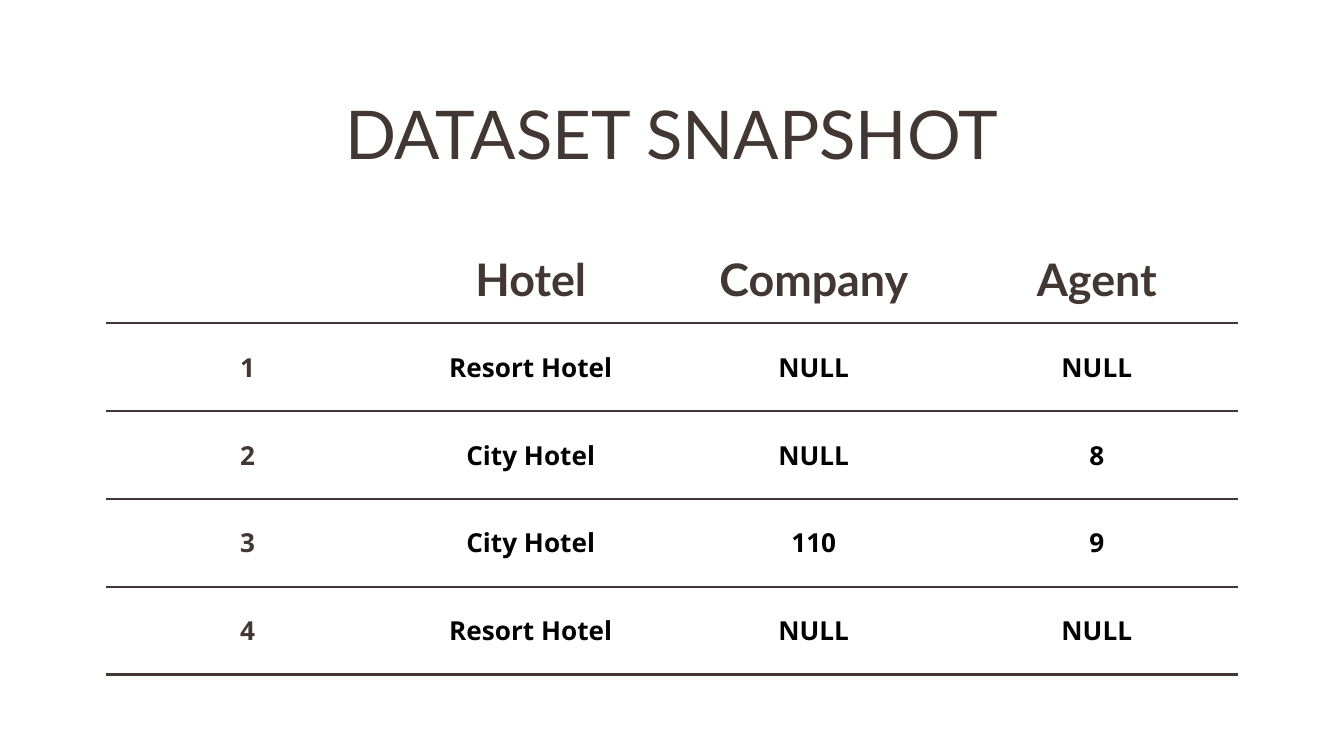
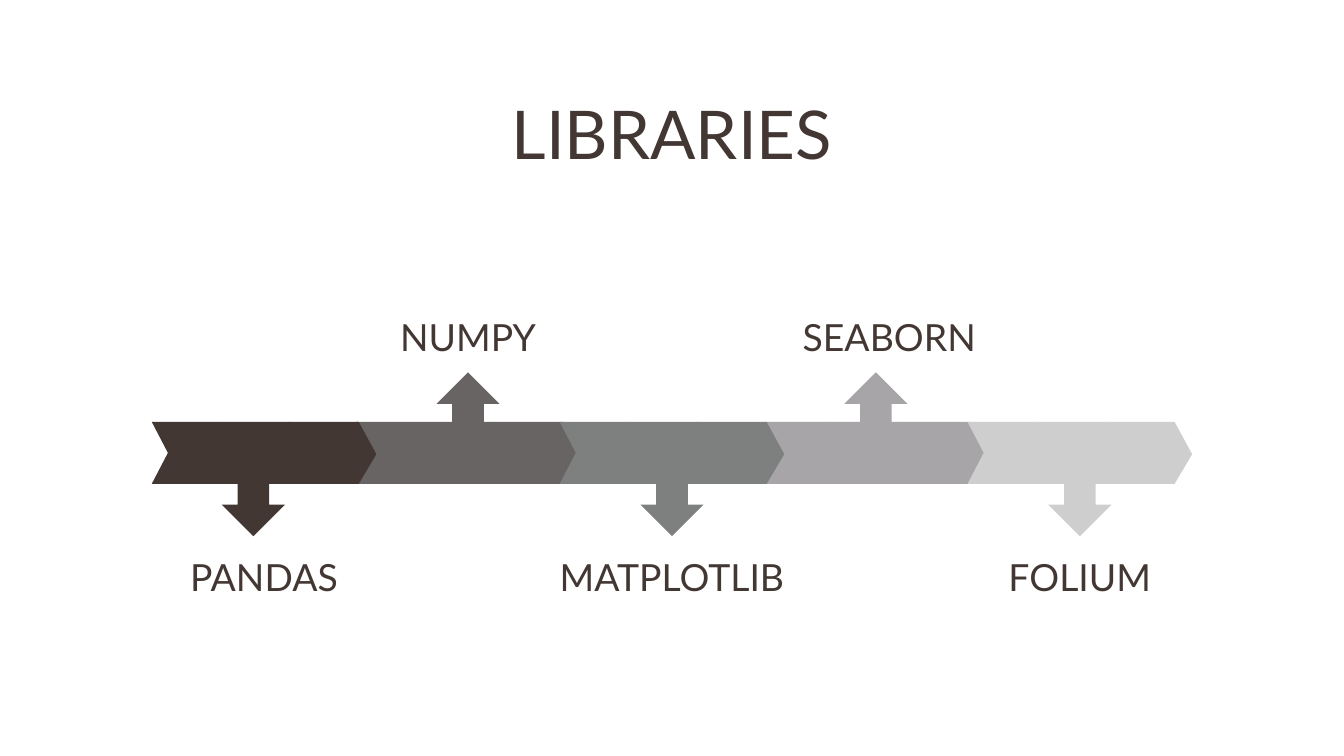
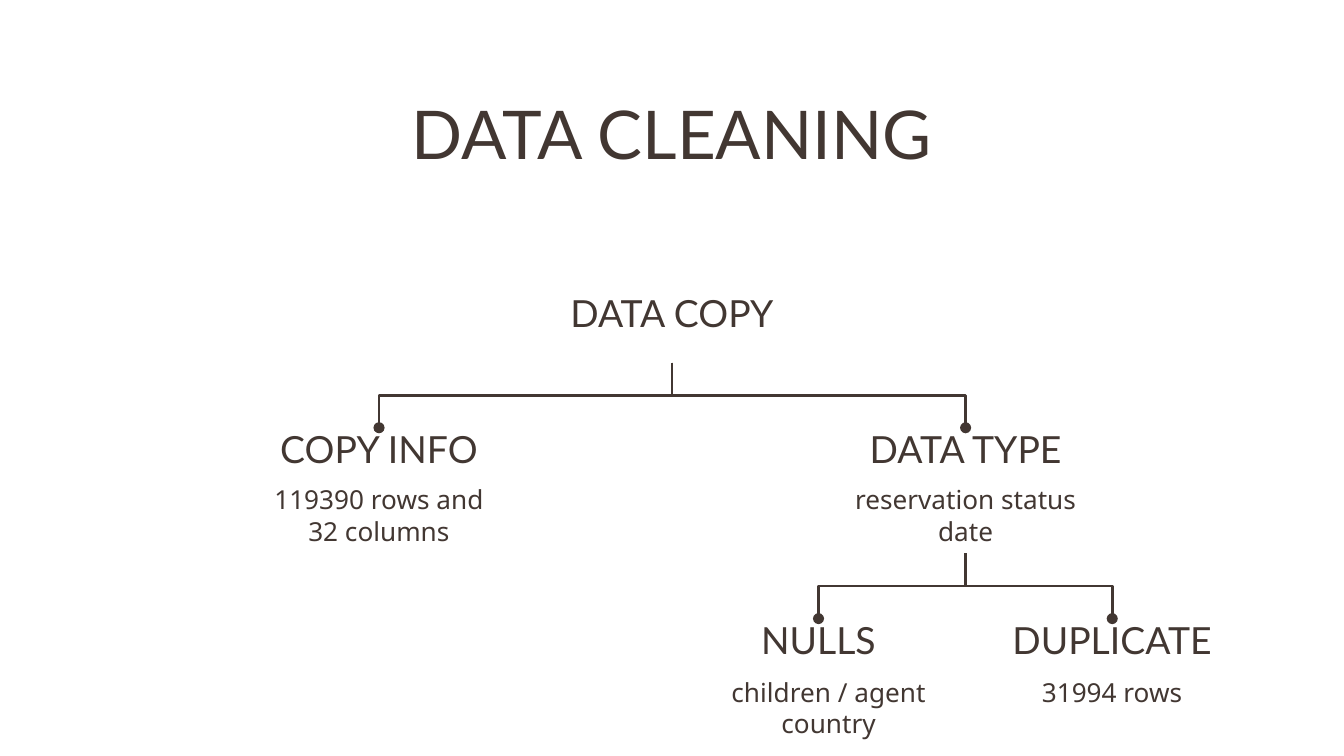
from dataclasses import dataclass

from lxml import etree
from pptx import Presentation
from pptx.dml.color import RGBColor
from pptx.enum.shapes import MSO_CONNECTOR, MSO_SHAPE
from pptx.enum.text import MSO_ANCHOR, PP_ALIGN
from pptx.oxml.ns import qn
from pptx.util import Inches, Pt

ARROW, ELBOW = MSO_SHAPE.RIGHT_ARROW, MSO_CONNECTOR.ELBOW
CENTER = PP_ALIGN.CENTER
TOP, MIDDLE, BOTTOM = MSO_ANCHOR.TOP, MSO_ANCHOR.MIDDLE, MSO_ANCHOR.BOTTOM

# Grid: 100 columns by 56.25 rows
WIDTH, HEIGHT = Inches(10), Inches(5.625)
COLUMN, ROW = WIDTH / 100, HEIGHT / 56.25
INSET = Inches(0.1)

BROWN, BLACK, WHITE = "423732", "000000", "FFFFFF"
HEADING_FONT, BODY_FONT = "Lato", "Noto Sans"
TITLE_SIZE, TABLE_HEAD_SIZE, HEADING_SIZE, BODY_SIZE = 36, 24, 20, 14
LINE_WIDTH = Pt(1.5)

# Regions: left, top, width, height in columns and rows
TITLE_BOX = (7.8, 5.9, 84.4, 7.5)
TABLE_BOX = (7.9, 17.5, 84.25, 32.7)
TIMELINE_BOX = (11.3, 23.5, 77.4, 22)
TREE_BOX = (17.3, 21.7, 74.9, 34.5)

SNAPSHOT = (
    ("", "Hotel", "Company", "Agent"),
    ("1", "Resort Hotel", "NULL", "NULL"),
    ("2", "City Hotel", "NULL", "8"),
    ("3", "City Hotel", "110", "9"),
    ("4", "Resort Hotel", "NULL", "NULL"),
)

# Name, colour, arrow shift, label shift
LIBRARIES = (
    ("PANDAS", BROWN, -0.8, 0),
    ("NUMPY", "686464", 0, 0),
    ("MATPLOTLIB", "7E807F", 0, 0),
    ("SEABORN", "A7A5A8", 0, 1),
    ("FOLIUM", "CECECE", 0, 0),
)
STACKING = (1, 3, 4, 2, 0)

# Band segment: tip, notched tail and the joint over both
SEGMENT_WIDTH, BAND_HEIGHT = 16.7, 4.6
SEGMENT_PIECES = (
    ((10.2, 0), (11.05, 2.3), (10.2, 4.6), (15.4, 4.6), (16.7, 2.4), (15.4, 0)),
    ((0, 0), (1.2, 2.3), (0, 4.6), (5, 4.6), (4.1, 2.3), (5, 0)),
    ((4.95, 0), (3.05, 1.9), (4, 4), (4.95, 4.6), (10.2, 4.6), (12.4, 2.1),
     (10.3, 0)),
)


@dataclass
class Step:
    heading: str
    center: float
    top: float
    details: tuple = ()
    parent: str = ""
    detail_offset: float = 3.17
    heading_width: float = 19
    detail_width: float = 19


CLEANING_STEPS = (
    Step("DATA COPY", 32.7, 0),
    Step("COPY INFO", 10.9, 10.13, ("119390 rows and 32 columns",),
         "DATA COPY", heading_width=21.9),
    Step("DATA TYPE", 54.55, 10.13, ("reservation status date",), "DATA COPY"),
    Step("NULLS", 43.6, 24.33, ("children / agent", "country"),
         "DATA TYPE", 3.27, detail_width=20.5),
    Step("DUPLICATE", 65.45, 24.33, ("31994 rows",), "DATA TYPE", 3.27),
)


def rgb(value):
    return RGBColor.from_string(value)


def place(left, top, width, height):
    return (round(left * COLUMN), round(top * ROW),
            round(width * COLUMN), round(height * ROW))


def write(frame, lines, size, font, color=BROWN, bold=False):
    for index, line in enumerate(lines):
        paragraph = frame.paragraphs[0] if index == 0 else frame.add_paragraph()
        paragraph.alignment = CENTER
        run = paragraph.add_run()
        run.text = line
        run.font.size, run.font.name = Pt(size), font
        run.font.bold, run.font.color.rgb = bold, rgb(color)


def add_text(slide, box, lines, size, font=HEADING_FONT, anchor=TOP):
    frame = slide.shapes.add_textbox(*place(*box)).text_frame
    frame.word_wrap = True
    frame.vertical_anchor = anchor
    frame.margin_left = frame.margin_right = INSET
    frame.margin_top = frame.margin_bottom = INSET
    write(frame, lines, size, font)


def paint(solid, color):
    solid.shadow.inherit = False
    solid.fill.solid()
    solid.fill.fore_color.rgb = rgb(color)
    solid.line.fill.background()


def add_slide(deck, title):
    slide = deck.slides.add_slide(deck.slide_layouts[6])
    slide.background.fill.solid()
    slide.background.fill.fore_color.rgb = rgb(WHITE)
    add_text(slide, TITLE_BOX, [title], TITLE_SIZE)
    return slide


def rule_cell(cell, ruled_sides):
    properties = cell._tc.get_or_add_tcPr()
    for side in "LRTB":
        border = etree.SubElement(properties, qn(f"a:ln{side}"), w=str(LINE_WIDTH))
        if side in ruled_sides:
            fill = etree.SubElement(border, qn("a:solidFill"))
            etree.SubElement(fill, qn("a:srgbClr"), val=BROWN)
        else:
            etree.SubElement(border, qn("a:noFill"))
    cell.fill.background()


def add_snapshot_table(slide, box):
    table = slide.shapes.add_table(
        len(SNAPSHOT), len(SNAPSHOT[0]), *place(*box)).table
    table.first_row = table.horz_banding = False
    for row, values in enumerate(SNAPSHOT):
        for column, value in enumerate(values):
            cell = table.cell(row, column)
            cell.vertical_anchor = MIDDLE
            cell.margin_left = cell.margin_right = INSET
            cell.margin_top = cell.margin_bottom = INSET
            rule_cell(cell, "TB" if row else "B")
            if row == 0:
                style = (TABLE_HEAD_SIZE, HEADING_FONT, BROWN)
            else:
                style = (BODY_SIZE, BODY_FONT, BLACK if column else BROWN)
            if value:
                write(cell.text_frame, [value], *style, bold=True)


def add_segment(slide, left, top, color):
    for piece in SEGMENT_PIECES:
        corners = [place(left + x, top + y, 0, 0)[:2] for x, y in piece]
        builder = slide.shapes.build_freeform(*corners[0])
        builder.add_line_segments(corners[1:], close=True)
        paint(builder.convert_to_shape(), color)


def add_timeline(slide, box):
    left, top, width, _ = box
    band_top = top + 7.9
    band_middle = band_top + BAND_HEIGHT / 2
    arrow_length, arrow_width = 5.8, 4.7
    label_width, label_height = 22.4, 4.2
    pitch = (width - SEGMENT_WIDTH) / (len(LIBRARIES) - 1)

    for index in STACKING:
        name, color, arrow_shift, label_shift = LIBRARIES[index]
        start = left + index * pitch
        center = start + SEGMENT_WIDTH / 2
        above = index % 2 == 1
        # Arrow out of the band
        arrow_middle = band_middle + (-3.1 if above else 3.3)
        arrow = slide.shapes.add_shape(ARROW, *place(
            center + arrow_shift - arrow_length / 2,
            arrow_middle - arrow_width / 2, arrow_length, arrow_width))
        arrow.rotation = 270 if above else 90
        paint(arrow, color)
        # Band segment
        add_segment(slide, start, band_top, color)
        # Library name
        add_text(slide,
                 (center + label_shift - label_width / 2,
                  top if above else top + 17.85, label_width, label_height),
                 [name], HEADING_SIZE, anchor=BOTTOM)


def add_branch(slide, start, end):
    """Draw a down-across-down elbow that ends in a dot."""
    (x1, y1), (x2, y2) = start, end
    middle_x, middle_y = (x1 + x2) / 2, (y1 + y2) / 2
    side = 1 if x2 < x1 else -1
    half_drop, half_span = (y2 - y1) / 2, abs(x2 - x1) / 2
    # The elbow is laid out sideways, then turned about its centre
    branch = slide.shapes.add_connector(
        ELBOW, *place(middle_x - side * half_drop, middle_y - half_span,
                      middle_x + side * half_drop, middle_y + half_span))
    branch.line.color.rgb = rgb(BROWN)
    branch.line.width = LINE_WIDTH
    properties = branch._element.spPr
    turn = 90 if side == 1 else 270
    properties.find(qn("a:xfrm")).set("rot", str(turn * 60000))
    etree.SubElement(properties.find(qn("a:ln")), qn("a:tailEnd"), type="oval")
    etree.SubElement(properties, qn("a:effectLst"))


def add_cleaning_tree(slide, box):
    left, top, _, height = box
    heading_height, detail_height, branch_drop = 4.2, 6.3, 4.85
    centers = {step.heading: left + step.center for step in CLEANING_STEPS}
    for step in CLEANING_STEPS:
        center, step_top = centers[step.heading], top + step.top
        heading_left = center - step.heading_width / 2
        add_text(slide,
                 (heading_left, step_top, step.heading_width, heading_height),
                 [step.heading], HEADING_SIZE, anchor=BOTTOM)
        if step.details:
            detail_top = step_top + step.detail_offset
            add_text(slide,
                     (center - 9.5, detail_top, step.detail_width,
                      min(detail_height, top + height - detail_top)),
                     step.details, BODY_SIZE, BODY_FONT)
        if step.parent:
            add_branch(slide, (centers[step.parent], step_top - branch_drop),
                       (center, step_top))


def main():
    deck = Presentation()
    deck.slide_width, deck.slide_height = WIDTH, HEIGHT
    add_snapshot_table(add_slide(deck, "DATASET SNAPSHOT"), TABLE_BOX)
    add_timeline(add_slide(deck, "LIBRARIES"), TIMELINE_BOX)
    add_cleaning_tree(add_slide(deck, "DATA CLEANING"), TREE_BOX)
    deck.save("out.pptx")


if __name__ == "__main__":
    main()
